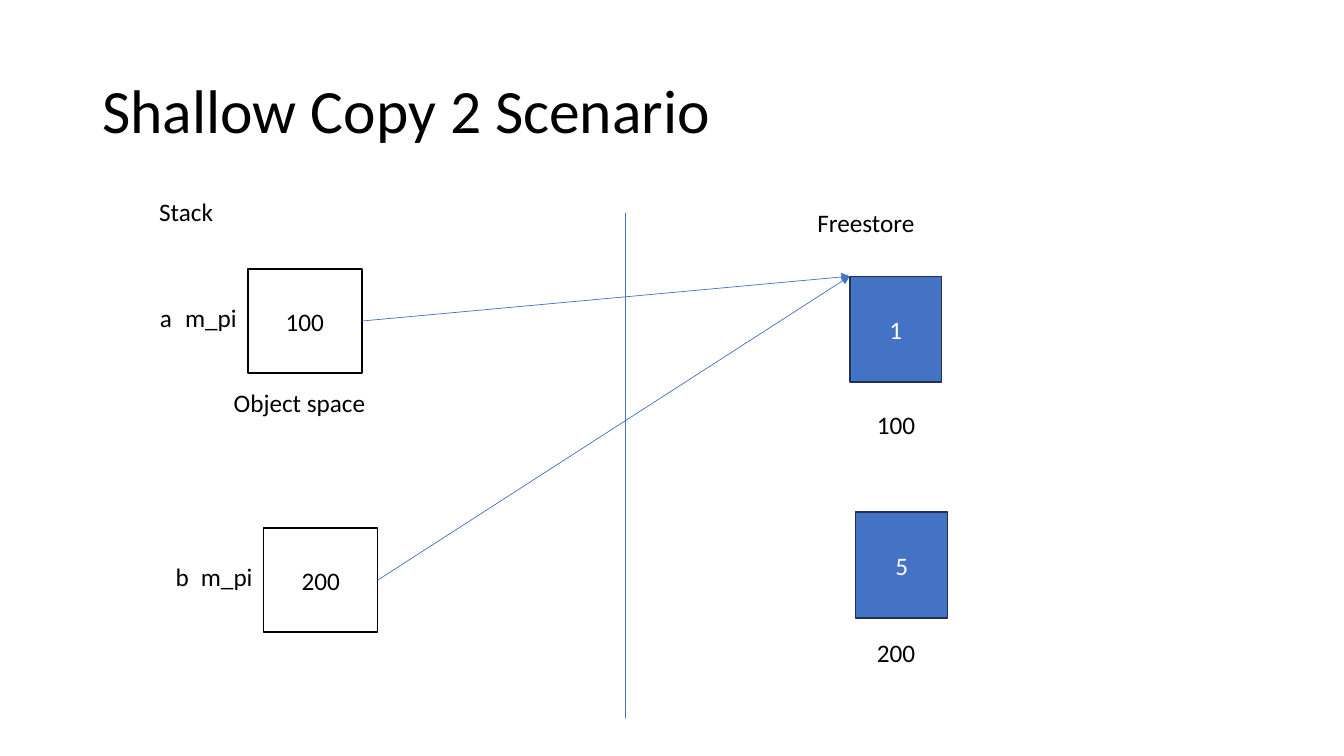
import pptx
import pptx.util
import pptx.dml.color
import pptx.enum.shapes
import pptx.enum.text
import pptx.oxml.ns
from lxml import etree

Pt = pptx.util.Pt
BLACK, WHITE, BLUE, NAVY = "000000", "FFFFFF", "4472C4", "1E3256"
LABEL_H = 29


def rgb(color):
    return pptx.dml.color.RGBColor.from_string(color)


def write(shape, text, size=18, color=BLACK, **paragraph_format):
    p = shape.text_frame.paragraphs[0]
    for name, value in paragraph_format.items():
        setattr(p, name, value)
    r = p.add_run()
    r.text = text
    for name, value in {"size": Pt(size), "name": "Calibri"}.items():
        setattr(r.font, name, value)
    r.font.color.rgb = rgb(color)


def add_label(s, text, x, y, w):
    label = s.shapes.add_textbox(Pt(x), Pt(y), Pt(w), Pt(LABEL_H))
    tf = label.text_frame
    tf.word_wrap = False
    tf.auto_size = pptx.enum.text.MSO_AUTO_SIZE.SHAPE_TO_FIT_TEXT
    write(label, text)


def add_box(s, text, x, y, w, h, fill, line, color):
    box = s.shapes.add_shape(pptx.enum.shapes.MSO_SHAPE.RECTANGLE,
                             Pt(x), Pt(y), Pt(w), Pt(h))
    box.shadow.inherit = False
    box.fill.solid()
    box.fill.fore_color.rgb = rgb(fill)
    box.line.color.rgb = rgb(line)
    box.line.width = Pt(1)
    box.text_frame.vertical_anchor = pptx.enum.text.MSO_ANCHOR.MIDDLE
    write(box, text, color=color, alignment=pptx.enum.text.PP_ALIGN.CENTER)
    return box


def add_line(s, x1, y1, x2, y2):
    line = s.shapes.add_connector(pptx.enum.shapes.MSO_CONNECTOR.STRAIGHT,
                                  x1, y1, x2, y2)
    line.line.color.rgb = rgb(BLUE)
    line.line.width = Pt(0.5)
    etree.SubElement(line._element.spPr, pptx.oxml.ns.qn("a:effectLst"))
    return line


def add_pointer(s, source, target):
    """Arrow from the right side of source to the top left corner of target."""
    arrow = add_line(s, source.left + source.width, source.top + source.height // 2,
                     target.left, target.top)
    arrow.begin_connect(source, 3)
    ln = arrow.line._get_or_add_ln()
    etree.SubElement(ln, pptx.oxml.ns.qn("a:tailEnd"), type="triangle")


def add_title(s, text, x, y, w, h):
    title = s.shapes.add_textbox(Pt(x), Pt(y), Pt(w), Pt(h))
    tf = title.text_frame
    tf.word_wrap = True
    tf.vertical_anchor = pptx.enum.text.MSO_ANCHOR.MIDDLE
    write(title, text, size=44, line_spacing=0.9)


def add_stack_object(s, name, address, x, y, w=81.4, h=74.2):
    """Object box with its variable and member names to the left."""
    add_label(s, name, x - 70, y + 20.2, 24)
    add_label(s, "m_pi", x - 52, y + 20.2, 52)
    return add_box(s, address, x, y, w, h, WHITE, BLACK, BLACK)


def add_freestore_cell(s, value, address, x, y, label_x, label_y, w=65.5, h=75.6):
    """Heap cell with its address below, offset from the cell."""
    add_label(s, address, x + label_x, y + label_y, 42.5)
    return add_box(s, value, x, y, w, h, BLUE, NAVY, WHITE)


def main():
    prs = pptx.Presentation()
    prs.slide_width, prs.slide_height = Pt(960), Pt(540)
    s = prs.slides.add_slide(prs.slide_layouts[6])

    add_title(s, "Shallow Copy 2 Scenario", 66, 28.8, 828, 104.4)

    # Divider between the two memory regions
    add_line(s, Pt(446.4), Pt(152), Pt(446.4), Pt(512.6))

    # Stack
    add_label(s, "Stack", 106.6, 136.8, 53.3)
    a = add_stack_object(s, "a", "100", 177.1, 192.2)
    add_label(s, "Object space", 159.8, 272.9, 109.4)
    b = add_stack_object(s, "b", "200", 188.4, 377.3)

    # Freestore
    add_label(s, "Freestore", 576.7, 144.7, 85)
    shared = add_freestore_cell(s, "1", "100", 607, 197.3, 12.2, 91.4)
    add_freestore_cell(s, "5", "200", 611.3, 365.8, 7.9, 85.6)

    # Both members point to the same cell
    for owner in (a, b):
        add_pointer(s, owner, shared)

    prs.save("out.pptx")


if __name__ == "__main__":
    main()
